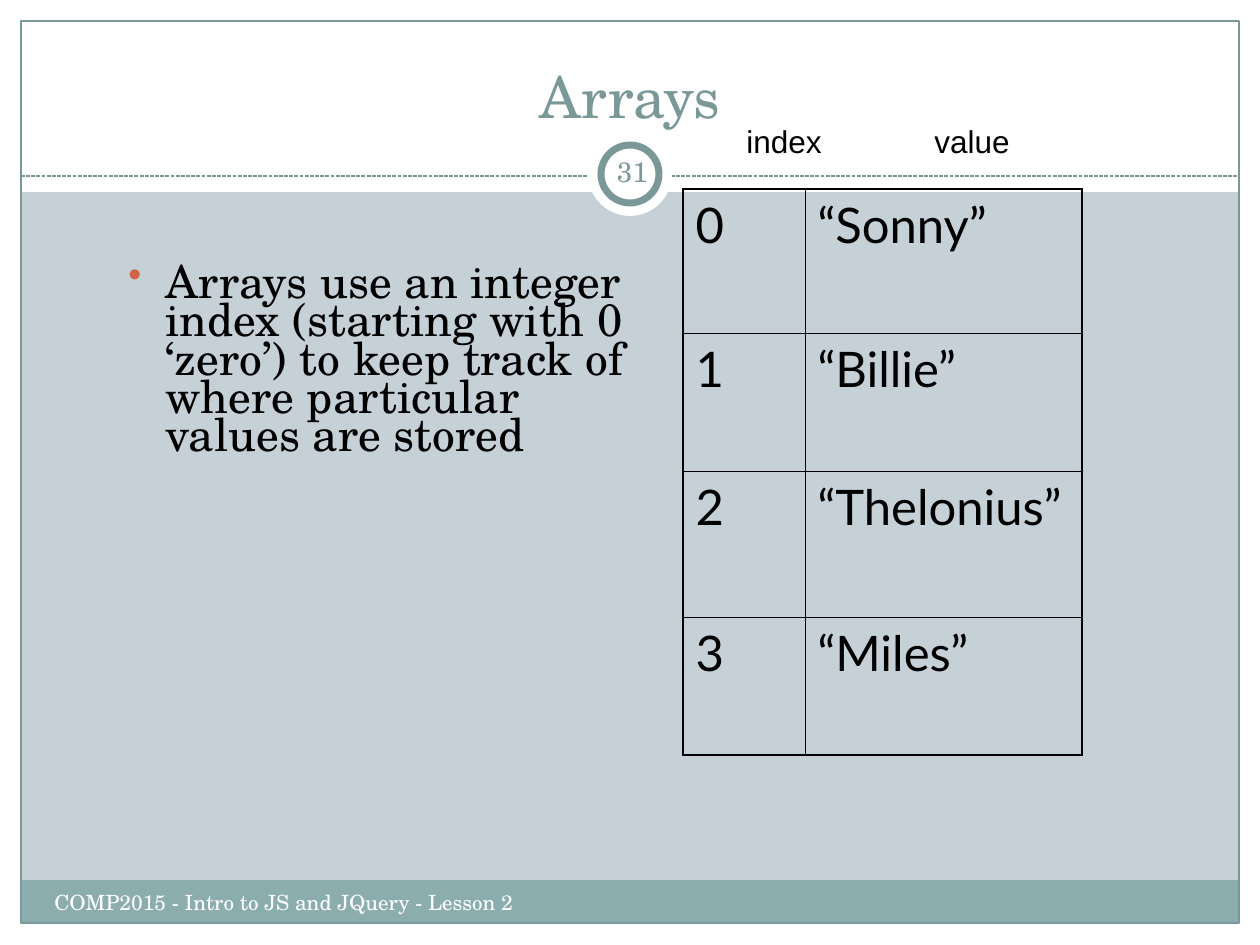
"""Build the Arrays slide with its index and value table."""
from lxml.etree import SubElement
from pptx import Presentation
from pptx.dml.color import RGBColor
from pptx.enum.dml import MSO_LINE
from pptx.enum.shapes import MSO_CONNECTOR, MSO_SHAPE
from pptx.enum.text import MSO_ANCHOR as Anchor, PP_ALIGN as Align
from pptx.oxml.ns import qn
from pptx.util import Emu, Pt

EMU_PER_PX = 914400 / 126
COLORS = {
    "background": "C5D1D7",
    "white": "FFFFFF",
    "footer": "8CADAE",
    "accent": "7B9899",
    "bullet": "D16349",
    "black": "000000",
}
SERIF, SANS, TABLE_FONT = "TeX Gyre Schola", "Arial", "Lato"


def px(length):
    return Emu(round(length * EMU_PER_PX))


def rgb(name):
    return RGBColor.from_string(COLORS[name])


def add_element(parent, tag, **attributes):
    return SubElement(parent, qn(tag), {key: str(value) for key, value in attributes.items()})


class SlideBuilder:
    def __init__(self, presentation):
        self.slide = presentation.slides.add_slide(presentation.slide_layouts[5])
        self.shapes = self.slide.shapes
        background = self.slide.background.fill
        background.solid()
        background.fore_color.rgb = rgb("background")

    def style_font(self, paragraph, size, color, font=SERIF):
        paragraph.font.size = Pt(size)
        paragraph.font.name = font
        paragraph.font.color.rgb = rgb(color)

    def shape(self, kind, box, fill=None, line=None, width=0.75):
        shape = self.shapes.add_shape(kind, *map(px, box))
        shape.shadow.inherit = False
        if fill:
            shape.fill.solid()
            shape.fill.fore_color.rgb = rgb(fill)
        else:
            shape.fill.background()
        if line:
            shape.line.color.rgb = rgb(line)
            shape.line.width = Pt(width)
        else:
            shape.line.fill.background()

    def dashed_line(self, left, right, y, color):
        line = self.shapes.add_connector(MSO_CONNECTOR.STRAIGHT, px(left), px(y), px(right), px(y))
        line.line.color.rgb = rgb(color)
        line.line.width = Pt(0.75)
        line.line.dash_style = MSO_LINE.SQUARE_DOT
        add_element(line.element.spPr, "a:effectLst")

    def title(self, text, box, size, color):
        title = self.shapes.title
        title.element.getparent().append(title.element)
        title.left, title.top, title.width, title.height = map(px, box)
        title.text_frame.vertical_anchor = Anchor.BOTTOM
        title.text_frame.text = text
        paragraph = title.text_frame.paragraphs[0]
        paragraph.alignment = Align.CENTER
        self.style_font(paragraph, size, color)

    def text(self, text, box, size, color, font=SERIF, align=Align.LEFT,
             anchor=Anchor.TOP, inset=None, tab=None):
        frame = self.shapes.add_textbox(*map(px, box)).text_frame
        frame.word_wrap = True
        frame.vertical_anchor = anchor
        if inset is not None:
            frame.margin_left = frame.margin_right = px(inset)
            frame.margin_top = frame.margin_bottom = px(inset)
        frame.text = text
        paragraph = frame.paragraphs[0]
        paragraph.alignment = align
        if tab:
            tabs = add_element(paragraph._p.get_or_add_pPr(), "a:tabLst")
            add_element(tabs, "a:tab", pos=px(tab), algn="l")
        self.style_font(paragraph, size, color, font)
        return paragraph

    def bullet(self, text, box, size, color, indent, spacing):
        paragraph = self.text(text, box, size, color)
        properties = paragraph._p.get_or_add_pPr()
        properties.set("marL", str(px(indent)))
        properties.set("indent", str(-px(indent)))
        default_font = properties.find(qn("a:defRPr"))
        bullet_color = add_element(properties, "a:buClr")
        add_element(bullet_color, "a:srgbClr", val=COLORS["bullet"])
        add_element(properties, "a:buSzPct", val=85000)
        add_element(properties, "a:buChar", char="•")
        if default_font is not None:
            properties.append(default_font)
        paragraph.line_spacing = spacing

    def borders(self, cell, outer_sides):
        properties = cell._tc.get_or_add_tcPr()
        for side in "LRTB":
            width = 1.08 if side in outer_sides else 0.45
            line = add_element(properties, f"a:ln{side}", w=Pt(width))
            fill = add_element(line, "a:solidFill")
            add_element(fill, "a:srgbClr", val=COLORS["black"])

    def table(self, values, left, top, widths, heights, size):
        box = map(px, (left, top, sum(widths), sum(heights)))
        table = self.shapes.add_table(len(heights), len(widths), *box).table
        table.first_row = table.horz_banding = False
        for column, width in zip(table.columns, widths):
            column.width = px(width)
        for index, (value, height) in enumerate(zip(values, heights)):
            table.rows[index].height = px(height)
            vertical = "T" * (index == 0) + "B" * (index == len(heights) - 1)
            for column, (text, side) in enumerate(((str(index), "L"), (f"“{value}”", "R"))):
                cell = table.cell(index, column)
                self.borders(cell, side + vertical)
                cell.fill.background()
                cell.text = text
                self.style_font(cell.text_frame.paragraphs[0], size, "black", TABLE_FONT)


def main():
    presentation = Presentation()
    presentation.slide_width, presentation.slide_height = px(1260), px(945)
    builder = SlideBuilder(presentation)

    for margin in ((0, 924, 1260, 21), (0, 0, 1260, 192), (0, 0, 21, 945), (1239, 0, 21, 945)):
        builder.shape(MSO_SHAPE.RECTANGLE, margin, "white")
    builder.shape(MSO_SHAPE.RECTANGLE, (21, 880, 1218, 44), "footer")
    builder.shape(MSO_SHAPE.RECTANGLE, (21, 21, 1218, 902), line="accent")
    builder.dashed_line(21, 1239, 176, "accent")
    builder.shape(MSO_SHAPE.OVAL, (588, 132, 84, 84), "white")
    builder.shape(MSO_SHAPE.OVAL, (601, 145, 58, 58), "white", "accent", 4)

    builder.title("Arrays", (42, 32, 1176, 104), 33, "accent")
    builder.bullet(
        "Arrays use an integer index (starting with 0 ‘zero’) to keep track of "
        "where particular values are stored",
        (116, 262, 536, 231), 26, "black", indent=37, spacing=0.7)
    builder.text("COMP2015 - Intro to JS and JQuery - Lesson 2", (42, 883, 494, 50), 12, "white")
    builder.text("31", (601, 141, 63, 61), 16, "accent",
                 align=Align.CENTER, anchor=Anchor.MIDDLE, inset=6)
    builder.table(("Sonny", "Billie", "Thelonius", "Miles"), 683, 189,
                  (122, 277), (144, 138, 146, 138), 28)
    builder.text("index\tvalue", (734, 116, 290, 50), 18, "black", SANS, tab=188)
    presentation.save("out.pptx")


if __name__ == "__main__":
    main()
